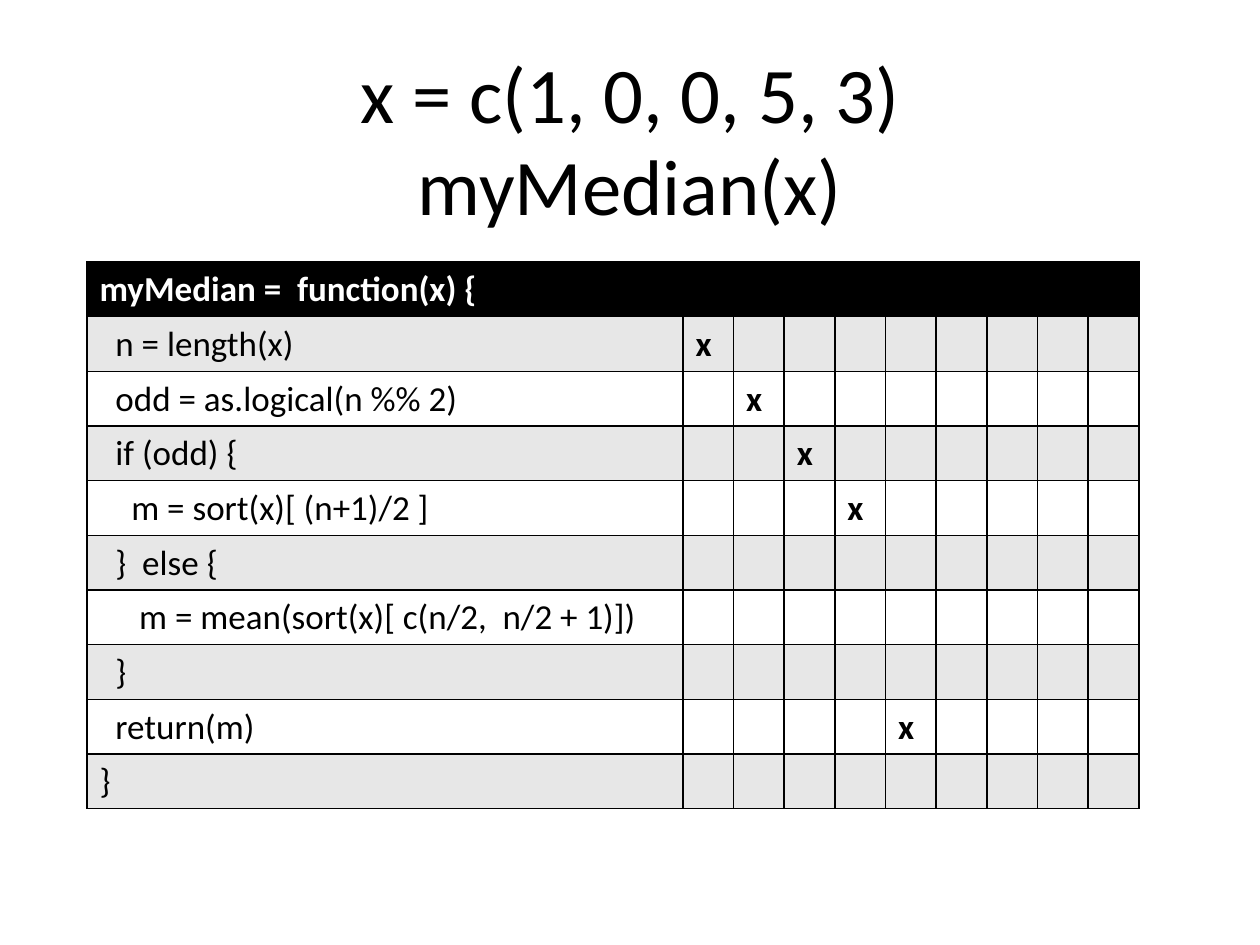
from dataclasses import dataclass

from lxml.etree import SubElement
from pptx import Presentation
from pptx.dml.color import RGBColor as RGB
from pptx.enum.text import MSO_ANCHOR as Anchor, PP_ALIGN as Align
from pptx.oxml.ns import qn
from pptx.util import Inches, Pt


@dataclass(frozen=True)
class Theme:
    font: str = "Calibri"
    ink: str = "000000"
    paper: str = "FFFFFF"
    band: str = "E7E7E7"
    title_size: int = 45
    code_size: int = 20
    border_width: float = 1


THEME = Theme()
SLIDE_W, SLIDE_H = Inches(10), Inches(7.5)

# Trace grid: one wide code column, then equal step columns
GRID_LEFT, GRID_TOP = Inches(0.69), Inches(2.08)
GRID_W, GRID_H = Inches(8.35), Inches(4.33)
CODE_W = Inches(4.73)
STEPS = 9
CELL_MARGIN, INDENT = 0.1, 0.063  # inches; one indent is one character wide

TITLE = "x = c(1, 0, 0, 5, 3)\vmyMedian(x)"
HEADER = "myMedian =  function(x) {"
# Code line, indent in characters, step at which it runs
TRACE = [
    ("n = length(x)", 2, 1),
    ("odd = as.logical(n %% 2)", 2, 2),
    ("if (odd) {", 2, 3),
    ("m = sort(x)[ (n+1)/2 ]", 4, 4),
    ("}  else {", 2, None),
    ("m = mean(sort(x)[ c(n/2,  n/2 + 1)])", 5, None),
    ("}", 2, None),
    ("return(m)", 2, 5),
    ("}", 0, None),
]


def set_all(target, values):
    for name, value in values.items():
        setattr(target, name, value)


def write(frame, text, size, color=THEME.ink, bold=False):
    paragraph = frame.paragraphs[0]
    paragraph.text = text
    for run in paragraph.runs:
        set_all(run.font, {"name": THEME.font, "size": Pt(size), "bold": bold})
        run.font.color.rgb = RGB.from_string(color)
    return paragraph


def add_title(slide):
    box = slide.shapes.add_textbox(
        int(SLIDE_W * 0.05), int(SLIDE_H * 0.04), int(SLIDE_W * 0.9), Inches(1.25))
    set_all(box.text_frame, {
        "word_wrap": True, "vertical_anchor": Anchor.TOP,
        "margin_left": Inches(0.07), "margin_right": Inches(0.07),
        "margin_top": Inches(0.1), "margin_bottom": Inches(0.04)})
    heading = write(box.text_frame, TITLE, THEME.title_size)
    set_all(heading, {"alignment": Align.CENTER, "line_spacing": 0.97})


def style_cell(cell, fill):
    # Borders must come before the fill in the cell properties
    properties = cell._tc.get_or_add_tcPr()
    for side in ("a:lnL", "a:lnR", "a:lnT", "a:lnB"):
        border = SubElement(properties, qn(side), w=str(Pt(THEME.border_width)))
        solid = SubElement(border, qn("a:solidFill"))
        SubElement(solid, qn("a:srgbClr"), val=THEME.ink)
    cell.fill.solid()
    cell.fill.fore_color.rgb = RGB.from_string(fill)


def add_trace(slide):
    trace = slide.shapes.add_table(
        len(TRACE) + 1, STEPS + 1, GRID_LEFT, GRID_TOP, GRID_W, GRID_H).table
    for index, column in enumerate(trace.columns):
        column.width = (GRID_W - CODE_W) // STEPS if index else CODE_W

    # Banded rows under a dark header
    for index, row in enumerate(trace.rows):
        fill = (THEME.band if index % 2 else THEME.paper) if index else THEME.ink
        for cell in row.cells:
            style_cell(cell, fill)

    # Header across the whole grid
    header = trace.cell(0, 0)
    header.merge(trace.cell(0, STEPS))
    write(header.text_frame, HEADER, THEME.code_size, THEME.paper, bold=True)

    # Code lines and their step marks
    for index, (code, indent, step) in enumerate(TRACE, start=1):
        line = trace.cell(index, 0)
        line.margin_left = Inches(CELL_MARGIN + indent * INDENT)
        write(line.text_frame, code, THEME.code_size)
        if step:
            write(trace.cell(index, step).text_frame, "x", THEME.code_size, bold=True)


def main():
    deck = Presentation()
    set_all(deck, {"slide_width": SLIDE_W, "slide_height": SLIDE_H})
    slide = deck.slides.add_slide(deck.slide_layouts[6])
    add_title(slide)
    add_trace(slide)
    deck.save("out.pptx")


if __name__ == "__main__":
    main()
